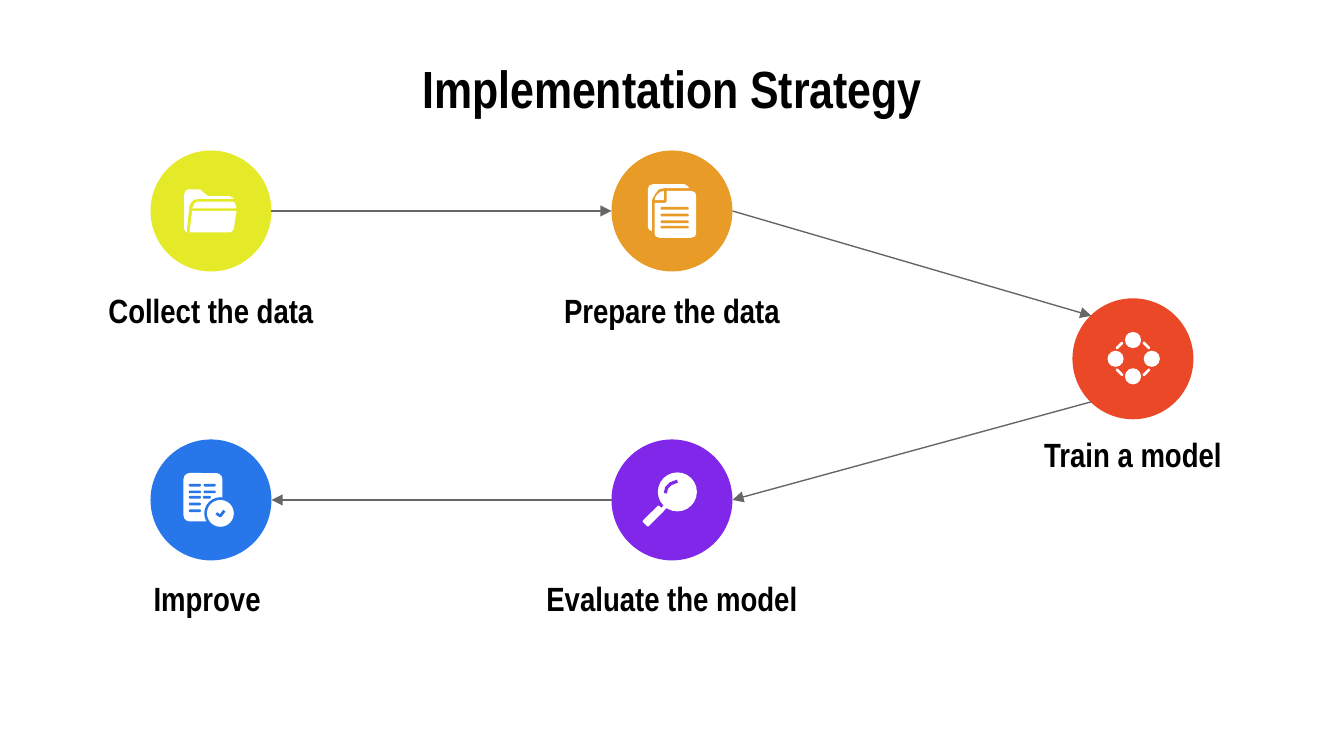
"""Build a slide showing the five steps of an implementation strategy."""
from dataclasses import dataclass

from lxml import etree
from pptx import Presentation
from pptx.dml.color import RGBColor
from pptx.enum.shapes import MSO_CONNECTOR, MSO_SHAPE
from pptx.enum.text import MSO_ANCHOR, PP_ALIGN
from pptx.oxml.ns import qn
from pptx.util import Inches, Pt

OVAL, ROUND = MSO_SHAPE.OVAL, MSO_SHAPE.ROUNDED_RECTANGLE
STRAIGHT = MSO_CONNECTOR.STRAIGHT
CENTER, MIDDLE = PP_ALIGN.CENTER, MSO_ANCHOR.MIDDLE

WHITE = RGBColor(0xFF, 0xFF, 0xFF)
BLACK = RGBColor(0x00, 0x00, 0x00)
GRAY = RGBColor(0x66, 0x66, 0x66)
YELLOW = RGBColor(0xE4, 0xEA, 0x27)
ORANGE = RGBColor(0xE9, 0x9B, 0x27)
RED = RGBColor(0xEA, 0x48, 0x27)
PURPLE = RGBColor(0x80, 0x27, 0xEA)
BLUE = RGBColor(0x27, 0x76, 0xEA)

FONT = "Arial Narrow"
SLIDE_W = Inches(10)
SLIDE_H = SLIDE_W * 9 // 16
DISC = 0.9
LABEL_W, LABEL_H = 2.13, 0.36
COLS = (1.57, 5.0, 8.43)
TOP, MID, BOTTOM = 1.57, 2.67, 3.72


@dataclass
class Block:
    """A preset shape of an icon, placed by its centre."""
    kind: int
    cx: float
    cy: float
    w: float
    h: float
    turn: float = 0
    round: float = 0.5
    cut: bool = False


@dataclass
class Outline:
    """A white polygon, or an open stroke in the disc colour."""
    points: list
    stroke: float = 0


@dataclass
class Step:
    """A coloured disc with its icon and label."""
    label: str
    cx: float
    cy: float
    label_top: float
    color: RGBColor
    icon: list


def bar(cx: float, cy: float, w: float) -> Block:
    return Block(ROUND, cx, cy, w, 0.02, cut=True)


FOLDER = [
    Outline([(1.4, 1.41), (1.49, 1.41), (1.5, 1.42), (1.55, 1.46), (1.71, 1.46),
             (1.73, 1.47), (1.74, 1.48), (1.47, 1.48), (1.44, 1.49), (1.42, 1.51),
             (1.41, 1.53), (1.39, 1.73), (1.38, 1.72), (1.37, 1.7), (1.37, 1.45),
             (1.38, 1.42)]),
    Outline([(1.47, 1.5), (1.73, 1.5), (1.75, 1.51), (1.76, 1.55), (1.43, 1.55),
             (1.45, 1.51)]),
    Outline([(1.43, 1.57), (1.76, 1.57), (1.74, 1.7), (1.73, 1.72), (1.71, 1.73),
             (1.41, 1.73)]),
]
PAGES = [
    Outline([(4.86, 1.37), (5.09, 1.37), (5.11, 1.38), (5.13, 1.4), (4.94, 1.4),
             (4.9, 1.41), (4.87, 1.45), (4.85, 1.49), (4.85, 1.72), (4.83, 1.71),
             (4.82, 1.69), (4.82, 1.41), (4.83, 1.38)]),
    Outline([(4.96, 1.42), (5.14, 1.42), (5.17, 1.43), (5.18, 1.45), (5.18, 1.74),
             (5.17, 1.76), (5.14, 1.77), (4.91, 1.77), (4.88, 1.76), (4.87, 1.74),
             (4.87, 1.51), (4.95, 1.51), (4.96, 1.5)]),
    Outline([(4.94, 1.42), (4.94, 1.49), (4.87, 1.49), (4.88, 1.46), (4.91, 1.43)]),
    *[bar(5.02, y, 0.21) for y in (1.55, 1.6, 1.65, 1.69)],
]
NETWORK = [
    *[Block(OVAL, 8.43 + dx, 2.67 + dy, 0.12, 0.12)
      for dx, dy in ((0, -0.14), (-0.13, 0), (0.14, 0), (0, 0.13))],
    *[Block(ROUND, 8.43 + dx, 2.67 + dy, 0.07, 0.02, 45 if dx * dy < 0 else -45)
      for dx in (-0.1, 0.1) for dy in (-0.1, 0.1)],
]
MAGNIFIER = [
    Block(OVAL, 5.04, 3.66, 0.29, 0.29),
    Block(ROUND, 4.94, 3.78, 0.08, 0.03, -45, 0),
    Block(ROUND, 4.86, 3.84, 0.17, 0.06, -45, 0.15),
    Outline([(4.95, 3.67), (4.96, 3.63), (4.99, 3.6), (5.04, 3.58)], 1.7),
]
CHECKLIST = [
    Block(ROUND, 1.51, 3.7, 0.29, 0.36, round=0.16),
    *[bar(1.45, y, 0.09) for y in (3.61, 3.66, 3.7, 3.75, 3.8)],
    *[bar(1.56, y, 0.09) for y in (3.61, 3.66)],
    bar(1.54, 3.7, 0.06),
    Block(OVAL, 1.64, 3.82, 0.24, 0.24, cut=True),
    Block(OVAL, 1.64, 3.82, 0.2, 0.2),
    Outline([(1.61, 3.82), (1.64, 3.84), (1.67, 3.8)], 1.5),
]

STEPS = [
    Step("Collect the data", COLS[0], TOP, 2.13, YELLOW, FOLDER),
    Step("Prepare the data", COLS[1], TOP, 2.13, ORANGE, PAGES),
    Step("Train a model", COLS[2], MID, 3.2, RED, NETWORK),
    Step("Evaluate the model", COLS[1], BOTTOM, 4.27, PURPLE, MAGNIFIER),
    Step("Improve ", COLS[0], BOTTOM, 4.27, BLUE, CHECKLIST),
]
ARROWS = [
    ((2.02, TOP), (4.55, TOP)),
    ((5.45, TOP), (8.12, 2.35)),
    ((8.12, 2.99), (5.45, BOTTOM)),
    ((4.55, BOTTOM), (2.02, BOTTOM)),
]


def add_block(s, block: Block, color: RGBColor) -> None:
    sp = s.shapes.add_shape(block.kind, Inches(block.cx - block.w / 2),
                            Inches(block.cy - block.h / 2),
                            Inches(block.w), Inches(block.h))
    if block.kind == ROUND:
        sp.adjustments[0] = block.round
    sp.rotation = block.turn
    sp.shadow.inherit = False
    sp.fill.solid()
    sp.fill.fore_color.rgb = color
    sp.line.fill.background()


def add_outline(s, outline: Outline, color: RGBColor) -> None:
    points = [(Inches(x), Inches(y)) for x, y in outline.points]
    builder = s.shapes.build_freeform(*points[0])
    builder.add_line_segments(points[1:], close=not outline.stroke)
    sp = builder.convert_to_shape()
    sp.shadow.inherit = False
    if outline.stroke:
        sp.fill.background()
        sp.line.color.rgb = color
        sp.line.width = Pt(outline.stroke)
    else:
        sp.fill.solid()
        sp.fill.fore_color.rgb = WHITE
        sp.line.fill.background()


def add_text(s, text: str, x: float, y: float, w: float, h: float, size: int) -> None:
    tf = s.shapes.add_textbox(Inches(x), Inches(y), Inches(w), Inches(h)).text_frame
    tf.word_wrap = True
    tf.vertical_anchor = MIDDLE
    tf.margin_left = tf.margin_right = tf.margin_top = tf.margin_bottom = Inches(0.1)
    tf.text = text
    p = tf.paragraphs[0]
    p.alignment = CENTER
    font = p.runs[0].font
    font.name, font.size, font.bold = FONT, Pt(size), True
    font.color.rgb = BLACK


def add_step(s, step: Step) -> None:
    add_block(s, Block(OVAL, step.cx, step.cy, DISC, DISC), step.color)
    for part in step.icon:
        if isinstance(part, Block):
            add_block(s, part, step.color if part.cut else WHITE)
        else:
            add_outline(s, part, step.color)
    add_text(s, step.label, step.cx - LABEL_W / 2, step.label_top, LABEL_W, LABEL_H, 18)


def add_arrow(s, start: tuple, end: tuple) -> None:
    line = s.shapes.add_connector(STRAIGHT, *map(Inches, start + end))
    line.line.color.rgb = GRAY
    line.line.width = Pt(0.75)
    props = line._element.spPr
    etree.SubElement(props.find(qn("a:ln")), qn("a:tailEnd"), type="triangle")
    etree.SubElement(props, qn("a:effectLst"))


def main() -> None:
    prs = Presentation()
    prs.slide_width, prs.slide_height = SLIDE_W, SLIDE_H
    s = prs.slides.add_slide(prs.slide_layouts[6])
    add_text(s, "Implementation Strategy", 0.5, 0.45, 9, 0.41, 28)
    for step in STEPS:
        add_step(s, step)
    for start, end in ARROWS:
        add_arrow(s, start, end)
    prs.save("out.pptx")


if __name__ == "__main__":
    main()
